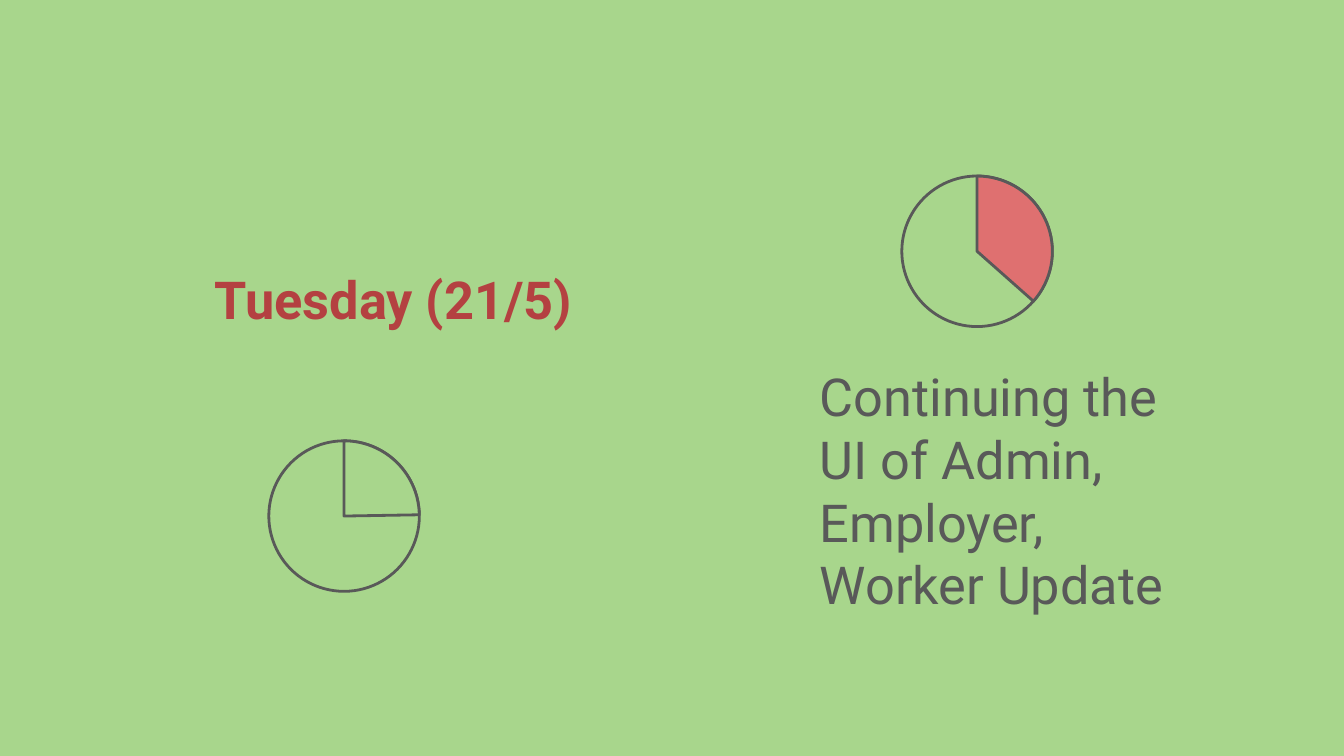
from dataclasses import dataclass

from pptx import Presentation
from pptx.dml.color import RGBColor
from pptx.enum.shapes import MSO_SHAPE
from pptx.enum.text import MSO_ANCHOR, MSO_AUTO_SIZE, PP_ALIGN
from pptx.util import Inches, Pt

OVAL, PIE = MSO_SHAPE.OVAL, MSO_SHAPE.PIE
TOP, MIDDLE = MSO_ANCHOR.TOP, MSO_ANCHOR.MIDDLE
LEFT, NO_AUTOFIT = PP_ALIGN.LEFT, MSO_AUTO_SIZE.NONE

GREEN, GREY, RED, PINK = "A8D68C", "595959", "B44141", "DF7070"
DIAL_SIZE = 1.12
TITLE_ONLY = 5


@dataclass
class Dial:
    left: float
    top: float
    end_angle: float  # degrees clockwise from three o'clock
    fill: str


DIALS = [
    Dial(2, 3.28, 359.03, GREEN),
    Dial(6.71, 1.31, 41.5, PINK),
]


def color(value: str) -> RGBColor:
    return RGBColor.from_string(value)


def format_text(box, text: str, font_color: str, anchor, bold: bool = False,
                line_spacing: float = 1.0) -> None:
    frame = box.text_frame
    frame.text = text
    frame.word_wrap = True
    frame.auto_size = NO_AUTOFIT
    frame.vertical_anchor = anchor
    frame.margin_left = frame.margin_right = Inches(0.1)
    frame.margin_top = frame.margin_bottom = Inches(0.1)
    para = frame.paragraphs[0]
    para.alignment = LEFT
    para.line_spacing = line_spacing
    font = para.runs[0].font
    font.name, font.size, font.bold = "Roboto", Pt(28), bold
    font.color.rgb = color(font_color)


def draw_dial(page, dial: Dial) -> None:
    group = page.shapes.add_group_shape()
    bounds = [Inches(n) for n in (dial.left, dial.top, DIAL_SIZE, DIAL_SIZE)]
    circle = group.shapes.add_shape(OVAL, *bounds)
    circle.fill.background()
    wedge = group.shapes.add_shape(PIE, *bounds)
    wedge.fill.solid()
    wedge.fill.fore_color.rgb = color(dial.fill)
    # Angles are stored in 60000ths of a degree, adjustments in 100000ths
    wedge.adjustments[0] = 270 * 0.6
    wedge.adjustments[1] = dial.end_angle * 0.6
    for shape in (circle, wedge):
        shape.shadow.inherit = False
        shape.line.color.rgb = color(GREY)
        shape.line.width = Pt(1.5)


def main() -> None:
    # Widescreen page, 16:9
    deck = Presentation()
    deck.slide_width = Inches(10)
    deck.slide_height = deck.slide_width * 9 // 16
    page = deck.slides.add_slide(deck.slide_layouts[TITLE_ONLY])
    page.background.fill.solid()
    page.background.fill.fore_color.rgb = color(GREEN)

    # Task of the day
    title = page.shapes.title
    title.left, title.top = Inches(6), Inches(3.28)
    title.width, title.height = Inches(3.15), Inches(0.73)
    format_text(title, "Continuing the UI of Admin, Employer, Worker Update",
                GREY, MIDDLE)

    # Progress dials
    for dial in DIALS:
        draw_dial(page, dial)

    # Date
    date = page.shapes.add_textbox(Inches(1.5), Inches(1.98), Inches(3.33), Inches(0.89))
    format_text(date, "Tuesday (21/5)", RED, TOP, bold=True, line_spacing=0.8)

    deck.save("out.pptx")


if __name__ == "__main__":
    main()
